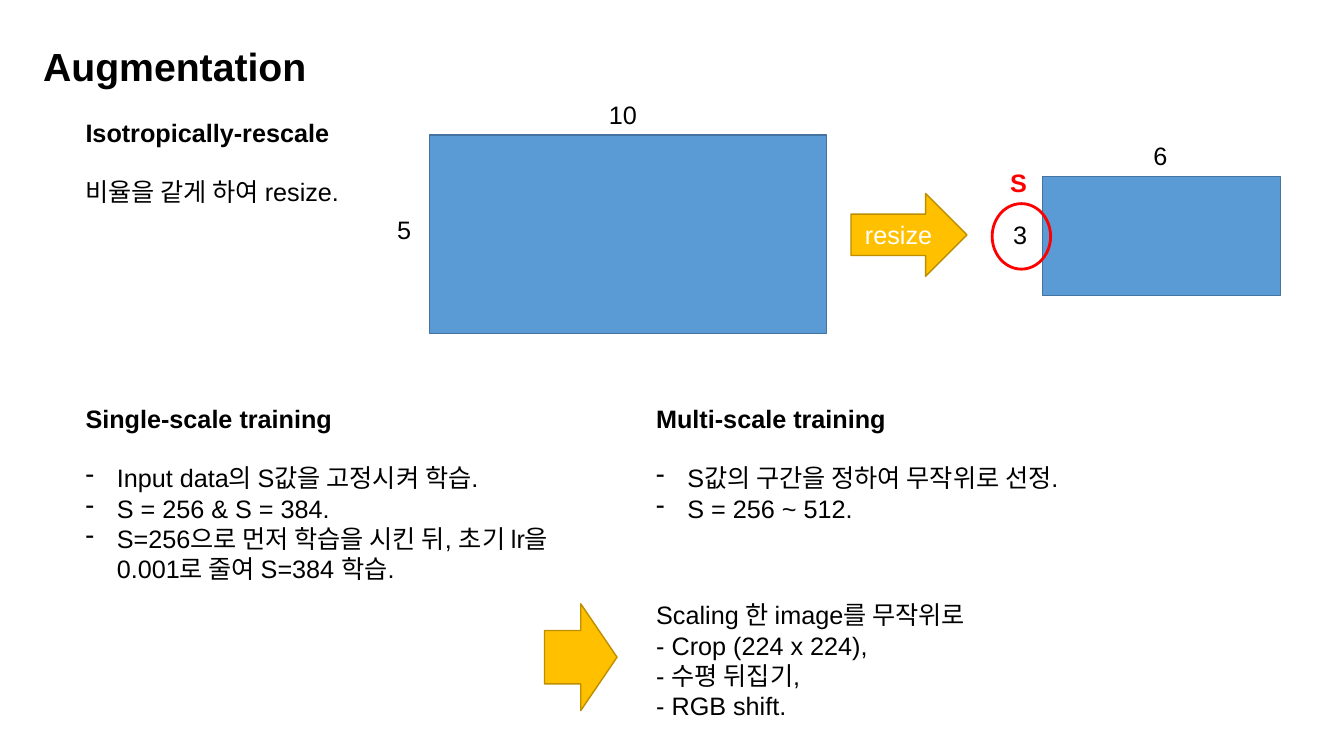
import pptx
import pptx.dml.color
import pptx.enum.shapes
import pptx.enum.text
import pptx.util
from lxml import etree

Inches = pptx.util.Inches
Pt = pptx.util.Pt
SHAPE = pptx.enum.shapes.MSO_SHAPE
COLORS = {"black": "000000", "white": "FFFFFF", "red": "FF0000", "blue": "5B9BD5",
          "blue edge": "43739E", "gold": "FFC000", "gold edge": "BD8E00"}
HEADING_GAP = 21

deck = pptx.Presentation()
deck.slide_width, deck.slide_height = Inches(13.33), Inches(7.5)
page = deck.slides.add_slide(deck.slide_layouts[6])


def add_span(para, text, color="black", size=18, bold=False):
    """Append one formatted run to a paragraph."""
    span = para.add_run()
    span.text = text
    span.font.name = "Arial"
    span.font.size = Pt(size)
    span.font.bold = bold
    span.font.color.rgb = pptx.dml.color.RGBColor.from_string(COLORS[color])


def add_text(place, lines, heading=None, bulleted=False, **style):
    """Add a text box with an optional bold heading above its lines."""
    box = page.shapes.add_textbox(*map(Inches, place))
    frame = box.text_frame
    frame.word_wrap = True
    para = frame.paragraphs[0]
    if heading:
        add_span(para, heading, bold=True)
        para.space_after = Pt(HEADING_GAP)
        para = frame.add_paragraph()
    for index, line in enumerate(lines):
        if index:
            para = frame.add_paragraph()
        if bulleted:
            properties = para._p.get_or_add_pPr()
            properties.set("marL", str(Inches(0.31)))
            properties.set("indent", str(-Inches(0.31)))
            bullet = etree.SubElement(properties, pptx.oxml.ns.qn("a:buChar"))
            bullet.set("char", "-")
        add_span(para, line, **style)


# Title and text blocks
left, right = 0.75, 6.41
add_text((0.33, 0.37, 5.07, 0.57), ["Augmentation"], size=28, bold=True)
add_text((left, 1.11, 3.94, 1.31), ["비율을 같게 하여 resize."],
         heading="Isotropically-rescale")
add_text((left, 3.95, 5.19, 1.92),
         ["Input data의 S값을 고정시켜 학습.",
          "S = 256 & S = 384.",
          "S=256으로 먼저 학습을 시킨 뒤, 초기 lr을 0.001로 줄여 S=384 학습."],
         heading="Single-scale training", bulleted=True)
add_text((right, 3.95, 4.74, 1.31),
         ["S값의 구간을 정하여 무작위로 선정.", "S = 256 ~ 512."],
         heading="Multi-scale training", bulleted=True)
add_text((right, 5.9, 3.61, 1.31),
         ["Scaling 한 image를 무작위로", "- Crop (224 x 224),",
          "- 수평 뒤집기,", "- RGB shift."])

# Rectangles before and after resizing, arrows and the ring around S
for kind, place, fill, edge, width, label in [
    (SHAPE.RECTANGLE, (4.26, 1.34, 3.94, 1.97), "blue", "blue edge", 1, None),
    (SHAPE.RECTANGLE, (10.34, 1.75, 2.36, 1.18), "blue", "blue edge", 1, None),
    (SHAPE.RIGHT_ARROW, (8.44, 1.92, 1.15, 0.82), "gold", "gold edge", 1, "resize"),
    (SHAPE.RIGHT_ARROW, (5.4, 5.99, 0.72, 1.06), "gold", "gold edge", 1, None),
    (SHAPE.OVAL, (9.84, 2.02, 0.58, 0.65), None, "red", 2, None),
]:
    shape = page.shapes.add_shape(kind, *map(Inches, place))
    shape.shadow.inherit = False
    if fill:
        shape.fill.solid()
        shape.fill.fore_color.rgb = pptx.dml.color.RGBColor.from_string(COLORS[fill])
    else:
        shape.fill.background()
    shape.line.color.rgb = pptx.dml.color.RGBColor.from_string(COLORS[edge])
    shape.line.width = Pt(width)
    if label:
        shape.text_frame.vertical_anchor = pptx.enum.text.MSO_ANCHOR.MIDDLE
        para = shape.text_frame.paragraphs[0]
        para.alignment = pptx.enum.text.PP_ALIGN.CENTER
        add_span(para, label, "white")

# Side lengths
for x, y, length in [(3.84, 2.08, "5"), (5.94, 0.94, "10"),
                     (9.95, 2.13, "3"), (11.34, 1.34, "6")]:
    add_text((x, y, 0.59, 0.4), [length])
add_text((9.92, 1.61, 0.59, 0.4), ["S"], color="red", bold=True)

deck.save("out.pptx")
